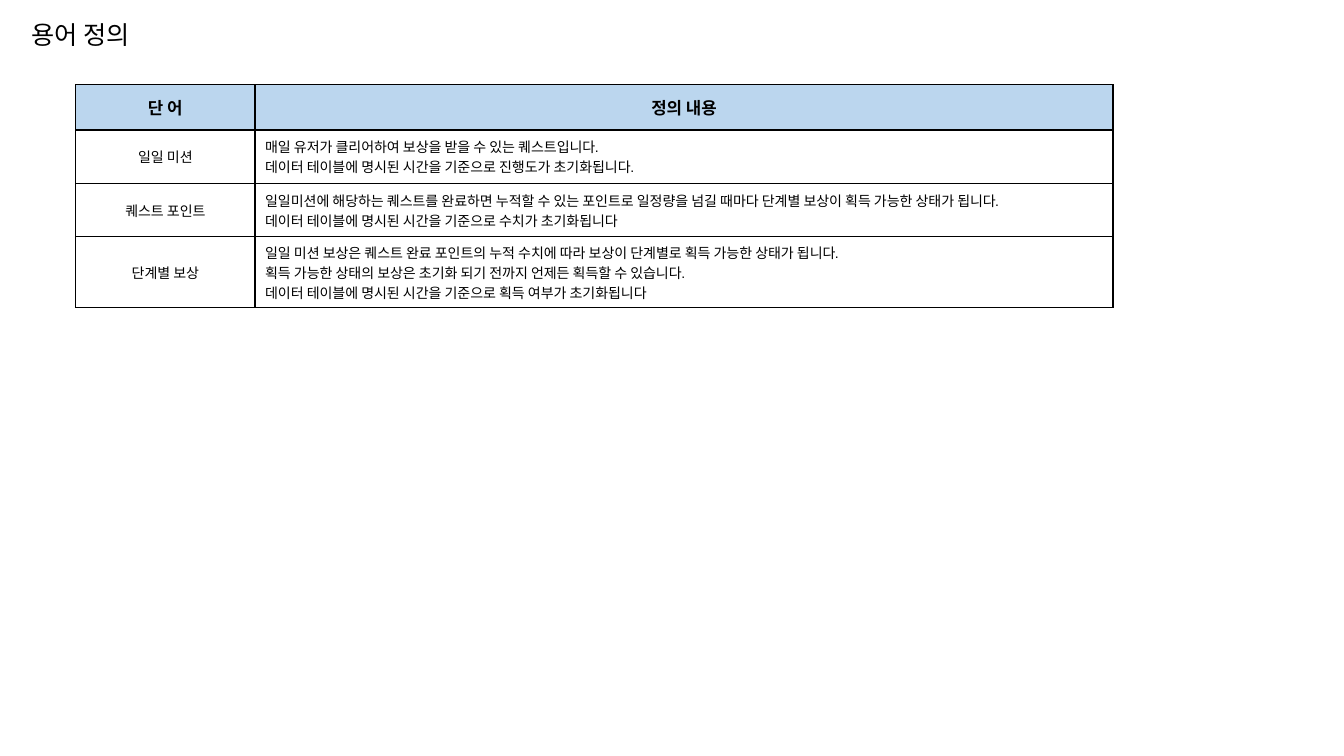
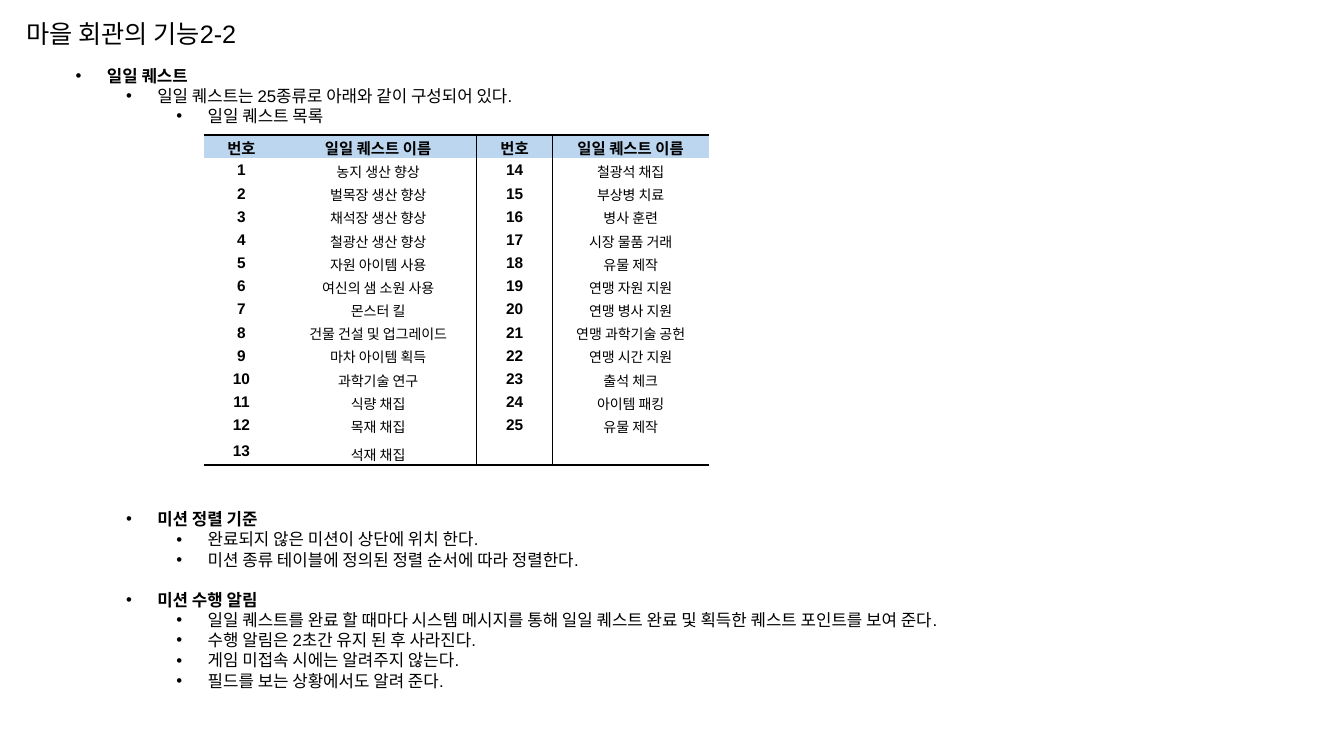
import pptx
import pptx.dml.color
import pptx.enum.text
import pptx.oxml.ns
import pptx.util
from lxml import etree

Inches = pptx.util.Inches
Pt = pptx.util.Pt
ALIGN = pptx.enum.text.PP_ALIGN
ANCHOR = pptx.enum.text.MSO_ANCHOR
qn = pptx.oxml.ns.qn


class Theme:
    font = "Arial"
    ink = pptx.dml.color.RGBColor.from_string("000000")
    paper = pptx.dml.color.RGBColor.from_string("FFFFFF")
    header = pptx.dml.color.RGBColor.from_string("BBD6EE")
    title = 18
    body = 12
    quest_header = 11
    small = 10
    line = 14.4


def style_paragraph(paragraph, size, bold=False, align=ALIGN.LEFT):
    paragraph.alignment = align
    paragraph.font.name = Theme.font
    paragraph.font.size = Pt(size)
    paragraph.font.bold = bold
    paragraph.font.color.rgb = Theme.ink


def fill_cell(cell, text, size, bold, align, anchor, fill, borders):
    """Write and style one cell; borders maps L, R, T, B to widths in points, others are hidden."""
    cell.text_frame.text = text
    for paragraph in cell.text_frame.paragraphs:
        style_paragraph(paragraph, size, bold, align)
    cell.vertical_anchor = anchor
    properties = cell._tc.get_or_add_tcPr()
    for side in "LRTB":
        width = borders.get(side, 0)
        edge = etree.SubElement(properties, qn(f"a:ln{side}"), w=str(Pt(width)))
        if width:
            solid = etree.SubElement(edge, qn("a:solidFill"))
            etree.SubElement(solid, qn("a:srgbClr"), val=str(Theme.ink))
        else:
            etree.SubElement(edge, qn("a:noFill"))
    cell.fill.solid()
    cell.fill.fore_color.rgb = fill


presentation = pptx.Presentation()
presentation.slide_width = Inches(13.33)
presentation.slide_height = Inches(7.5)

# Titles
slides = []
for layout, heading, left, top in [
    (5, "용어 정의", 0.21, 0.16),
    (1, "마을 회관의 기능2-2", 0.16, 0.15),
]:
    slide = presentation.slides.add_slide(presentation.slide_layouts[layout])
    title = slide.shapes.title
    title.left, title.top = Inches(left), Inches(top)
    title.width, title.height = Inches(5.34), Inches(0.4)
    title.text_frame.text = heading
    title.text_frame.auto_size = pptx.enum.text.MSO_AUTO_SIZE.NONE
    title.text_frame.vertical_anchor = ANCHOR.MIDDLE
    title.text_frame.paragraphs[0].line_spacing = 0.9
    style_paragraph(title.text_frame.paragraphs[0], Theme.title)
    slides.append(slide)
terms_slide, quests_slide = slides

# Glossary
glossary = [
    ("단 어", "정의 내용"),
    ("일일 미션",
     "매일 유저가 클리어하여 보상을 받을 수 있는 퀘스트입니다.\n"
     "데이터 테이블에 명시된 시간을 기준으로 진행도가 초기화됩니다."),
    ("퀘스트 포인트",
     "일일미션에 해당하는 퀘스트를 완료하면 누적할 수 있는 포인트로 "
     "일정량을 넘길 때마다 단계별 보상이 획득 가능한 상태가 됩니다.\v"
     "데이터 테이블에 명시된 시간을 기준으로 수치가 초기화됩니다"),
    ("단계별 보상",
     "일일 미션 보상은 퀘스트 완료 포인트의 누적 수치에 따라 보상이 단계별로 획득 가능한 상태가 됩니다.\n"
     "획득 가능한 상태의 보상은 초기화 되기 전까지 언제든 획득할 수 있습니다.\n"
     "데이터 테이블에 명시된 시간을 기준으로 획득 여부가 초기화됩니다"),
]
term_widths = [1.78, 8.51]
term_heights = [0.45, 0.53, 0.53, 0.7]
terms = terms_slide.shapes.add_table(
    len(glossary), 2, Inches(0.75), Inches(0.84),
    Inches(sum(term_widths)), Inches(sum(term_heights))).table
terms.first_row = terms.horz_banding = False
for column, width in zip(terms.columns, term_widths):
    column.width = Inches(width)
for r, (entry, height) in enumerate(zip(glossary, term_heights)):
    terms.rows[r].height = Inches(height)
    is_header = r == 0
    for c, text in enumerate(entry):
        fill_cell(terms.cell(r, c), text,
                  Theme.body if is_header else Theme.small, is_header,
                  ALIGN.CENTER if is_header or c == 0 else ALIGN.LEFT, ANCHOR.MIDDLE,
                  Theme.header if is_header else Theme.paper,
                  dict.fromkeys("LRTB", 1))

# Quest outline: level, text, bold, blank lines above
outline = [
    (0, "일일 퀘스트", True, 0),
    (1, "일일 퀘스트는 25종류로 아래와 같이 구성되어 있다.", False, 0),
    (2, "일일 퀘스트 목록", False, 0),
    (1, "미션 정렬 기준", True, 19),
    (2, "완료되지 않은 미션이 상단에 위치 한다.", False, 0),
    (2, "미션 종류 테이블에 정의된 정렬 순서에 따라 정렬한다.", False, 0),
    (1, "미션 수행 알림", True, 1),
    (2, "일일 퀘스트를 완료 할 때마다 시스템 메시지를 통해 일일 퀘스트 완료 및 획득한 퀘스트 포인트를 보여 준다.", False, 0),
    (2, "수행 알림은 2초간 유지 된 후 사라진다.", False, 0),
    (2, "게임 미접속 시에는 알려주지 않는다.", False, 0),
    (2, "필드를 보는 상황에서도 알려 준다.", False, 0),
]
body = quests_slide.placeholders[1]
body.left, body.top = Inches(0.65), Inches(0.6)
body.width, body.height = Inches(12.04), Inches(6.9)
body.text_frame.auto_size = pptx.enum.text.MSO_AUTO_SIZE.NONE
body.text_frame.text = "\n".join(text for _, text, _, _ in outline)
for paragraph, (level, _, bold, gap) in zip(body.text_frame.paragraphs, outline):
    paragraph.level = level
    properties = paragraph._p.get_or_add_pPr()
    properties.set("marL", str(Inches(0.31 + 0.5 * level)))
    properties.set("indent", str(Inches(-0.31)))
    etree.SubElement(properties, qn("a:buFont"), typeface=Theme.font)
    etree.SubElement(properties, qn("a:buChar"), char="•")
    paragraph.line_spacing = Pt(Theme.line)
    paragraph.space_before = Pt(gap * Theme.line)
    paragraph.space_after = Pt(0)
    style_paragraph(paragraph, Theme.body, bold)

# Quest list, numbered down two halves
quest_names = [
    "농지 생산 향상", "벌목장 생산 향상", "채석장 생산 향상", "철광산 생산 향상", "자원 아이템 사용",
    "여신의 샘 소원 사용", "몬스터 킬", "건물 건설 및 업그레이드", "마차 아이템 획득", "과학기술 연구",
    "식량 채집", "목재 채집", "석재 채집", "철광석 채집", "부상병 치료",
    "병사 훈련", "시장 물품 거래", "유물 제작", "연맹 자원 지원", "연맹 병사 지원",
    "연맹 과학기술 공헌", "연맹 시간 지원", "출석 체크", "아이템 패킹", "유물 제작",
]
half = 13
numbered = [(str(n), name) for n, name in enumerate(quest_names, 1)]
numbered += [("", "")] * (2 * half - len(numbered))
quest_rows = [("번호", "일일 퀘스트 이름") * 2]
quest_rows += [first + second for first, second in zip(numbered[:half], numbered[half:])]
quest_widths = [0.75, 1.96, 0.75, 1.55]
quest_heights = [0.23] * half + [0.28]
quests = quests_slide.shapes.add_table(
    len(quest_rows), 4, Inches(2.02), Inches(1.34),
    Inches(sum(quest_widths)), Inches(sum(quest_heights))).table
quests.first_row = quests.horz_banding = False
for column, width in zip(quests.columns, quest_widths):
    column.width = Inches(width)
column_borders = [{}, {"R": 1}, {"L": 1, "R": 1}, {"L": 1}]
for r, (entry, height) in enumerate(zip(quest_rows, quest_heights)):
    quests.rows[r].height = Inches(height)
    is_header = r == 0
    row_borders = {0: {"T": 2}, half: {"B": 2}}.get(r, {})
    for c, text in enumerate(entry):
        cell = quests.cell(r, c)
        cell.margin_left = cell.margin_right = cell.margin_top = Inches(0.01)
        cell.margin_bottom = 0
        strong = is_header or c % 2 == 0
        fill_cell(cell, text,
                  Theme.quest_header if strong else Theme.small, strong,
                  ALIGN.CENTER, ANCHOR.MIDDLE if strong else ANCHOR.BOTTOM,
                  Theme.header if is_header else Theme.paper,
                  column_borders[c] | row_borders)

presentation.save("out.pptx")
